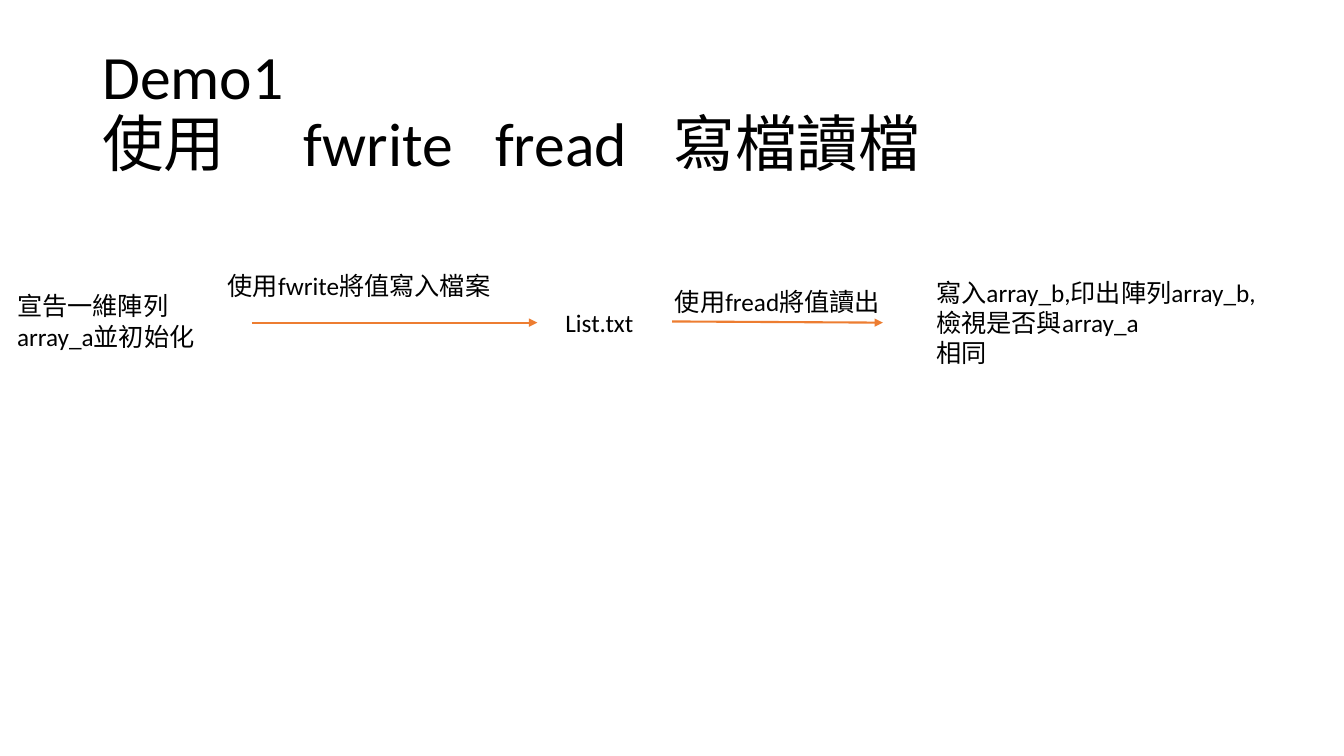
from lxml.etree import SubElement
from pptx import Presentation
from pptx.dml.color import RGBColor
from pptx.enum.shapes import MSO_CONNECTOR
from pptx.enum.text import MSO_ANCHOR
from pptx.oxml.ns import qn
from pptx.util import Cm, Pt


def color(hex_code):
    return RGBColor.from_string(hex_code)


def add_text(text, left, top, width, height, size):
    frame = slide.shapes.add_textbox(Cm(left), Cm(top), Cm(width), Cm(height)).text_frame
    frame.word_wrap = True
    frame.text = text
    for paragraph in frame.paragraphs:
        for run in paragraph.runs:
            run.font.name = "Calibri"
            run.font.size = Pt(size)
            run.font.color.rgb = color("000000")
    return frame


presentation = Presentation()
presentation.slide_width = Cm(33.87)
presentation.slide_height = Cm(19.05)
slide = presentation.slides.add_slide(presentation.slide_layouts[6])

title = add_text("Demo1\v使用\tfwrite\tfread\t寫檔讀檔", 2.33, 1.01, 29.21, 3.68, 44)
title.vertical_anchor = MSO_ANCHOR.MIDDLE
heading = title.paragraphs[0]
heading.line_spacing = 0.9
tab_stops = SubElement(heading._p.get_or_add_pPr(), qn("a:tabLst"))
for position in (5.08, 9.9, 14.4):
    SubElement(tab_stops, qn("a:tab"), pos=str(Cm(position)), algn="l")

steps = [
    ("宣告一維陣列 array_a並初始化", 0.18, 7.2, 5.54, 1.8),
    ("使用fwrite將值寫入檔案", 5.49, 6.68, 8.05, 1.03),
    ("List.txt", 14, 7.62, 3.84, 1.03),
    ("使用fread將值讀出", 16.76, 7.08, 6.05, 1.03),
    ("寫入array_b,印出陣列array_b,檢視是否與array_a\n相同".replace(",", ","), 23.34, 6.86, 8.66, 2.57),
]
for text, left, top, width, height in steps:
    add_text(text, left, top, width, height, 18)

for start_x, start_y, end_x, end_y in [(6.35, 8.13, 13.54, 8.13), (16.94, 8.1, 22.25, 8.13)]:
    arrow = slide.shapes.add_connector(
        MSO_CONNECTOR.STRAIGHT, Cm(start_x), Cm(start_y), Cm(end_x), Cm(end_y))
    arrow.line.color.rgb = color("ED7D31")
    arrow.line.width = Pt(1.5)
    SubElement(arrow.line._get_or_add_ln(), qn("a:tailEnd"), type="triangle")
    SubElement(arrow._element.spPr, qn("a:effectLst"))

presentation.save("out.pptx")
